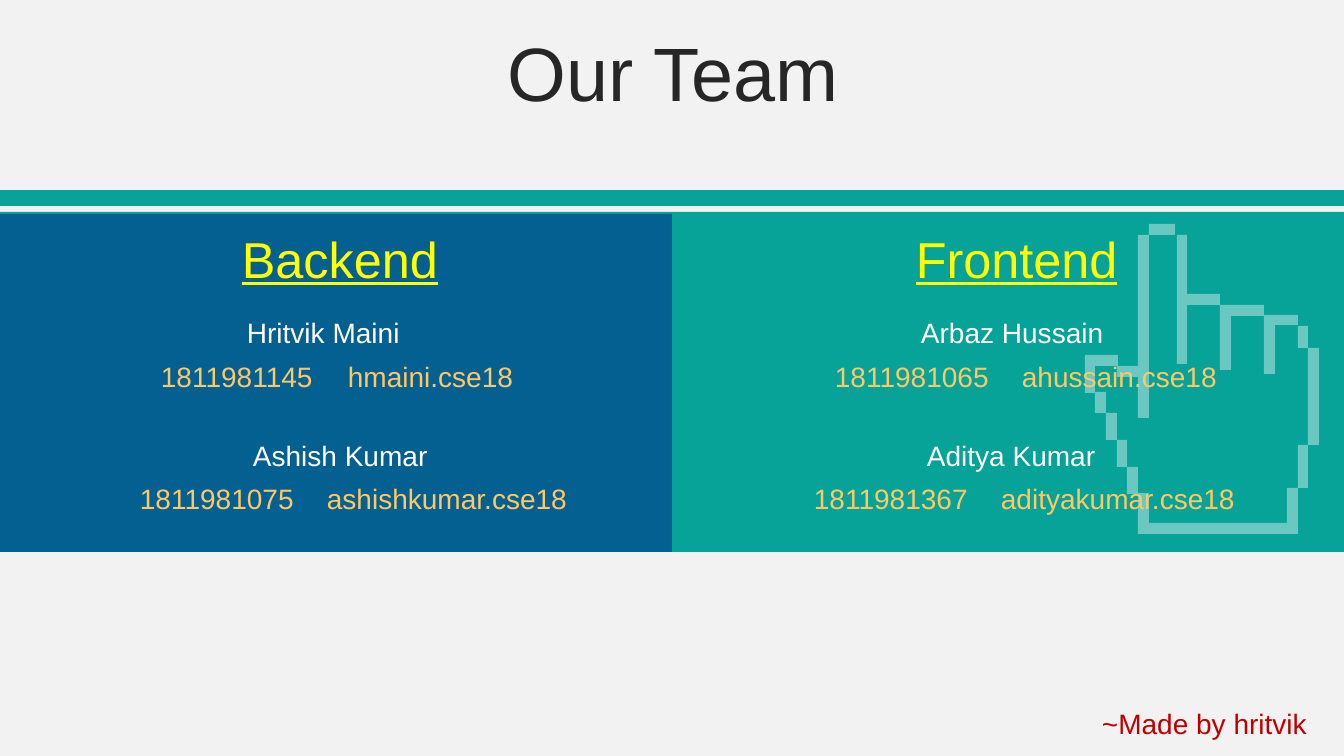
from lxml.etree import SubElement
from pptx import Presentation
from pptx.dml.color import RGBColor
from pptx.enum.shapes import MSO_SHAPE
from pptx.enum.text import MSO_ANCHOR, PP_ALIGN
from pptx.oxml.ns import qn
from pptx.util import Pt

PX = 914400 / 100.8
COLORS = {
    "background": "F2F2F2", "teal": "07A398", "blue": "056092",
    "title": "262626", "heading": "FFFF00", "white": "FFFFFF",
    "contact": "FFC864", "credit": "C00000",
}
BANDS = [
    ("teal", 0, 212, 1344, 340),
    ("teal", 0, 190, 1344, 16),
]
BLUE_PANEL = ("blue", 0, 214, 672, 338)
COLUMN_STEP = 674
CONTACT_TAB = 187
TEAMS = [
    ("Backend", [
        ("Hritvik Maini", "1811981145", "hmaini.cse18"),
        ("Ashish Kumar", "1811981075", "ashishkumar.cse18"),
    ]),
    ("Frontend", [
        ("Arbaz Hussain", "1811981065", "ahussain.cse18"),
        ("Aditya Kumar", "1811981367", "adityakumar.cse18"),
    ]),
]
HEADING_BOX = (232, 223, 247, 72)
MEMBER_BOXES = [
    ((237, 311, 221, 44), (151, 355, 412, 44)),
    ((243, 434, 216, 44), (130, 477, 489, 44)),
]
HAND_BARS = [
    (1298, 445, 1308, 488), (1287, 488, 1298, 534), (1149, 523, 1287, 534),
    (1138, 493, 1149, 534), (1127, 467, 1138, 494), (1117, 440, 1127, 467),
    (1106, 413, 1117, 440), (1095, 392, 1106, 413), (1085, 355, 1095, 393),
    (1095, 355, 1118, 366), (1117, 366, 1138, 377), (1138, 235, 1149, 418),
    (1149, 224, 1175, 235), (1177, 235, 1187, 364), (1187, 294, 1220, 305),
    (1220, 305, 1231, 370), (1231, 305, 1264, 316), (1264, 315, 1275, 374),
    (1275, 315, 1298, 325), (1298, 326, 1308, 348), (1308, 348, 1319, 445),
]


def emu(*lengths):
    return [round(length * PX) for length in lengths]


def paint(shape, color):
    shape.shadow.inherit = False
    shape.fill.solid()
    shape.fill.fore_color.rgb = RGBColor.from_string(COLORS[color])
    shape.line.fill.background()


def add_band(page, color, *place):
    paint(page.shapes.add_shape(MSO_SHAPE.RECTANGLE, *emu(*place)), color)


def add_text(page, text, place, size, color, underline=None):
    box = page.shapes.add_textbox(*emu(*place))
    frame = box.text_frame
    frame.word_wrap = True
    frame.text = text
    para = frame.paragraphs[0]
    for span in para.runs:
        span.font.name = "Arial"
        span.font.size = Pt(size)
        span.font.underline = underline
        span.font.color.rgb = RGBColor.from_string(COLORS[color])
    return frame, para


def add_hand(page):
    left, top = HAND_BARS[0][:2]
    builder = page.shapes.build_freeform(left, top, scale=PX)
    for index, (left, top, right, bottom) in enumerate(HAND_BARS):
        if index:
            builder.move_to(left, top)
        builder.add_line_segments([(right, top), (right, bottom), (left, bottom)], close=True)
    hand = builder.convert_to_shape()
    paint(hand, "white")
    tint = hand.fill._xPr.find(qn("a:solidFill"))[0]
    SubElement(tint, qn("a:alpha"), val="40000")


def add_team(page, heading, members, shift):
    def placed(place):
        return (place[0] + shift, *place[1:])

    add_text(page, heading, placed(HEADING_BOX), 36, "heading", True)
    for (name, number, mail), (name_box, contact_box) in zip(members, MEMBER_BOXES):
        add_text(page, name, placed(name_box), 20, "white")
        para = add_text(page, f"{number}\t{mail}", placed(contact_box), 20, "contact")[1]
        tabs = SubElement(para._p.get_or_add_pPr(), qn("a:tabLst"))
        SubElement(tabs, qn("a:tab"), pos=str(emu(CONTACT_TAB)[0]), algn="l")


def main():
    deck = Presentation()
    deck.slide_width, deck.slide_height = emu(1344, 756)
    page = deck.slides.add_slide(deck.slide_layouts[6])
    page.background.fill.solid()
    page.background.fill.fore_color.rgb = RGBColor.from_string(COLORS["background"])

    for band in BANDS:
        add_band(page, *band)
    frame, para = add_text(page, "Our Team", (35, 37, 1276, 80), 54, "title")
    frame.vertical_anchor = MSO_ANCHOR.MIDDLE
    para.alignment = PP_ALIGN.CENTER
    para.line_spacing = 0.9
    para.space_before = Pt(10)

    add_hand(page)
    add_band(page, *BLUE_PANEL)
    for column, (heading, members) in enumerate(TEAMS):
        add_team(page, heading, members, column * COLUMN_STEP)
    add_text(page, "~Made by hritvik", (1092, 702, 238, 44), 20, "credit")
    deck.save("out.pptx")


if __name__ == "__main__":
    main()
